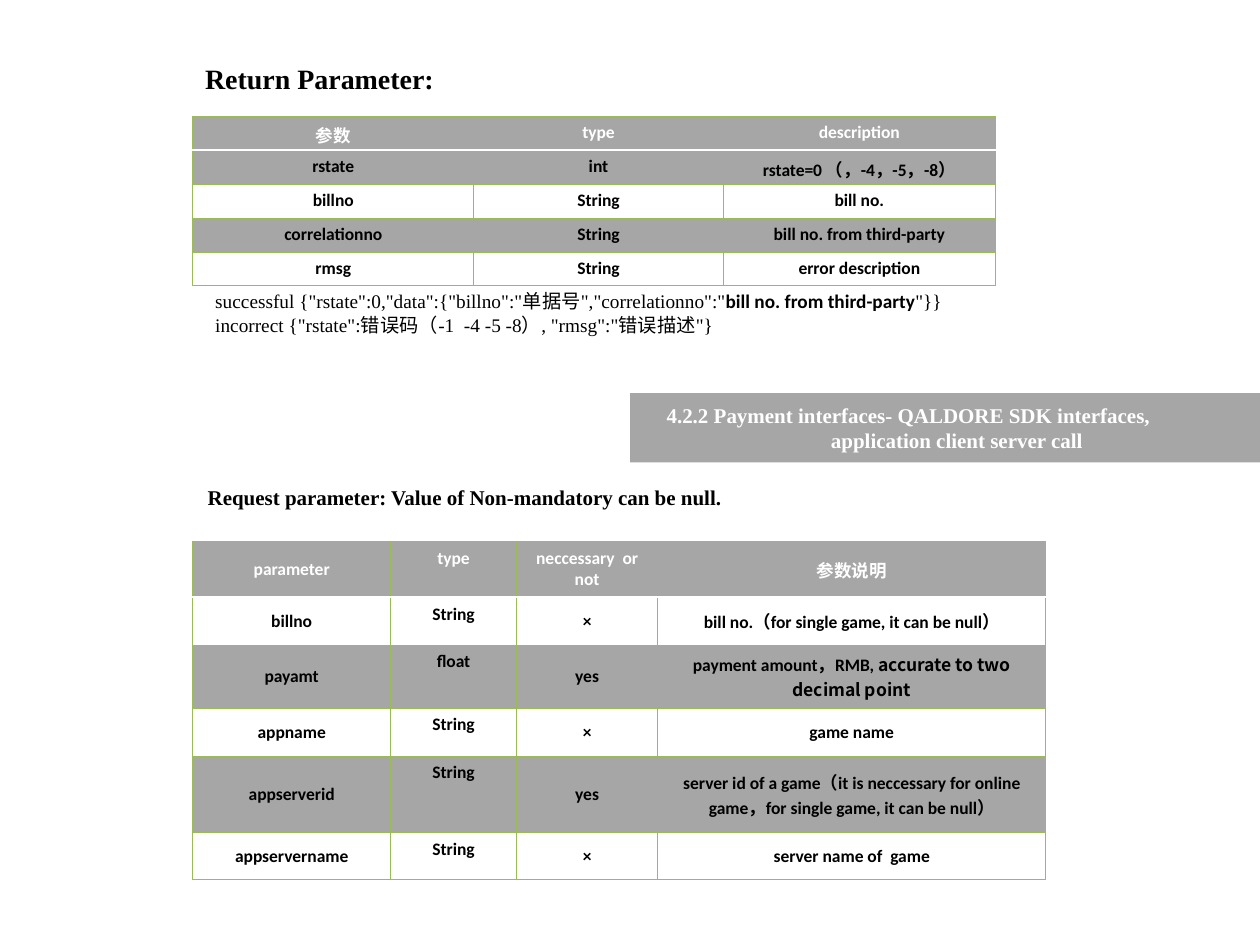
from dataclasses import dataclass

from lxml import etree
from pptx import Presentation
from pptx.dml.color import RGBColor
from pptx.enum.text import MSO_ANCHOR, MSO_AUTO_SIZE, PP_ALIGN
from pptx.oxml.ns import qn
from pptx.util import Inches, Pt

LEFT, CENTER = PP_ALIGN.LEFT, PP_ALIGN.CENTER
TOP, MIDDLE = MSO_ANCHOR.TOP, MSO_ANCHOR.MIDDLE
NO_FIT = MSO_AUTO_SIZE.NONE

# The slide is a grid of 100 columns by 75 rows of square units
COLUMNS, ROWS = 100, 75
UNIT = Inches(10) / COLUMNS
MARGIN = 15.3


@dataclass(frozen=True)
class Theme:
    serif: str = "Times New Roman"
    sans: str = "Calibri"
    cjk: str = "Noto Sans CJK SC"
    ink: str = "000000"
    white: str = "FFFFFF"
    gray: str = "A6A6A6"
    green: str = "9BBB59"
    band_alpha: int = 40
    heading: int = 16
    subheading: int = 12
    body: int = 11
    cell: int = 10
    thin: float = 0.45
    thick: float = 1.47


THEME = Theme()


@dataclass(frozen=True)
class Area:
    left: float
    top: float
    width: float
    height: float

    def lengths(self) -> list[int]:
        return [units(n) for n in (self.left, self.top, self.width, self.height)]


@dataclass(frozen=True)
class Span:
    text: str
    size: int
    font: str = THEME.serif
    color: str = THEME.ink
    bold: bool = False


@dataclass(frozen=True)
class Line:
    spans: list[Span]
    align: int = LEFT
    indent: float = 0


@dataclass(frozen=True)
class Grid:
    area: Area
    widths: list[float]
    heights: list[float]
    rows: list[list]
    banded_from: int      # first shaded row; every second row follows
    top_columns: dict     # column -> rows whose text sits at the top


def units(count: float) -> int:
    return round(count * UNIT)


def write(frame, lines: list[Line]) -> None:
    for index, line in enumerate(lines):
        para = frame.paragraphs[0] if index == 0 else frame.add_paragraph()
        para.alignment = line.align
        if line.indent:
            para._p.get_or_add_pPr().set("marL", str(units(line.indent)))
        for span in line.spans:
            run = para.add_run()
            run.text = span.text
            values = {"name": span.font, "size": Pt(span.size), "bold": span.bold}
            for name, value in values.items():
                setattr(run.font, name, value)
            run.font.color.rgb = RGBColor.from_string(span.color)


def add_text(slide, area: Area, lines: list[Line], wrap: bool = True) -> None:
    box = slide.shapes.add_textbox(*area.lengths())
    box.text_frame.word_wrap = wrap
    write(box.text_frame, lines)


def set_borders(cell, row: int) -> None:
    thin, thick = (THEME.green, THEME.thin), (THEME.white, THEME.thick)
    sides = {"L": thin, "R": thin,
             "T": thick if row == 1 else thin,
             "B": thick if row == 0 else thin}
    properties = cell._tc.get_or_add_tcPr()
    for side, (color, width) in sides.items():
        border = etree.SubElement(properties, qn(f"a:ln{side}"), w=str(Pt(width)))
        fill = etree.SubElement(border, qn("a:solidFill"))
        etree.SubElement(fill, qn("a:srgbClr"), val=color)


def set_fill(cell, header: bool, banded: bool) -> None:
    if not (header or banded):
        cell.fill.background()
        return
    cell.fill.solid()
    cell.fill.fore_color.rgb = RGBColor.from_string(THEME.gray)
    if banded:
        color = cell._tc.tcPr.find(".//" + qn("a:srgbClr"))
        etree.SubElement(color, qn("a:alpha"), val=str(THEME.band_alpha * 1000))


def add_grid(slide, grid: Grid) -> None:
    shape = slide.shapes.add_table(len(grid.rows), len(grid.widths), *grid.area.lengths())
    table = shape.table
    table.first_row = table.horz_banding = False
    for column, width in zip(table.columns, grid.widths):
        column.width = units(width)
    for row, height in zip(table.rows, grid.heights):
        row.height = units(height)
    for r, texts in enumerate(grid.rows):
        color = THEME.white if r == 0 else THEME.ink
        banded = r >= grid.banded_from and (r - grid.banded_from) % 2 == 0
        for c, content in enumerate(texts):
            cell = table.cell(r, c)
            set_borders(cell, r)
            set_fill(cell, r == 0, banded)
            cell.vertical_anchor = TOP if r in grid.top_columns.get(c, ()) else MIDDLE
            spans = content if isinstance(content, list) else [
                Span(content, THEME.cell, THEME.sans, color, True)]
            write(cell.text_frame, [Line(spans, CENTER)])


RETURN_GRID = Grid(
    Area(MARGIN, 9.2, 63.8, 13.4), [22.3, 19.8, 21.6], [2.7] * 5,
    [["参数", "type", "description"],
     ["rstate", "int", "rstate=0 （，-4，-5，-8）"],
     ["billno", "String", "bill no."],
     ["correlationno", "String", "bill no. from third-party"],
     ["rmsg", "String", "error description"]],
    banded_from=1, top_columns={1: range(5)})

AMOUNT = [Span("payment amount，RMB, ", THEME.cell, THEME.sans, bold=True),
          Span("accurate to two decimal point", THEME.cell, THEME.cjk, bold=True)]

REQUEST_GRID = Grid(
    Area(MARGIN, 43, 67.7, 26.1), [15.7, 10, 11.2, 30.8],
    [4.4, 3.8, 4.4, 3.8, 6.1, 3.7],
    [["parameter", "type", "neccessary  or not", "参数说明"],
     ["billno", "String", "×", "bill no.（for single game, it can be null）"],
     ["payamt", "float", "yes", AMOUNT],
     ["appname", "String", "×", "game name"],
     ["appserverid", "String", "yes",
      "server id of a game（it is neccessary for online game，for single game, it can be null）"],
     ["appservername", "String", "×", "server name of  game"]],
    banded_from=2, top_columns={1: range(6), 2: range(1)})


def add_title(slide) -> None:
    title = slide.shapes.title
    area = Area(50, 31.2, 50, 5.5)
    for name, value in zip(("left", "top", "width", "height"), area.lengths()):
        setattr(title, name, value)
    title.fill.solid()
    title.fill.fore_color.rgb = RGBColor.from_string(THEME.gray)
    frame = title.text_frame
    values = {"word_wrap": True, "auto_size": NO_FIT, "vertical_anchor": MIDDLE}
    for name, value in values.items():
        setattr(frame, name, value)
    style = {"size": THEME.subheading, "color": THEME.white, "bold": True}
    write(frame, [
        Line([Span("4.2.2 Payment interfaces- QALDORE SDK interfaces,", **style)], indent=1.9),
        Line([Span("application client server call", **style)], CENTER)])


def main() -> None:
    deck = Presentation()
    deck.slide_width, deck.slide_height = units(COLUMNS), units(ROWS)
    slide = deck.slides.add_slide(deck.slide_layouts[5])
    add_title(slide)

    # Request parameters
    add_grid(slide, REQUEST_GRID)
    request = "Request parameter: Value of Non-mandatory can be null."
    add_text(slide, Area(15.5, 38, 43, 5),
             [Line([Span(request, THEME.subheading, bold=True)])], wrap=False)

    # Return parameters with sample replies
    success = [Span('successful {"rstate":0,"data":{"billno":"单据号","correlationno":"', THEME.body),
               Span("bill no. from third-party", THEME.body, THEME.sans, bold=True),
               Span('"}}', THEME.body)]
    failure = [Span('incorrect {"rstate":错误码（-1  -4 -5 -8）, "rmsg":"错误描述"}', THEME.body)]
    add_text(slide, Area(MARGIN, 22.5, 66.9, 6.4),
             [Line(spans, indent=0.8) for spans in (success, failure)])
    add_grid(slide, RETURN_GRID)
    add_text(slide, Area(MARGIN, 4.4, 25.3, 6.4),
             [Line([Span("Return Parameter:", THEME.heading, bold=True)])])

    deck.save("out.pptx")


if __name__ == "__main__":
    main()
